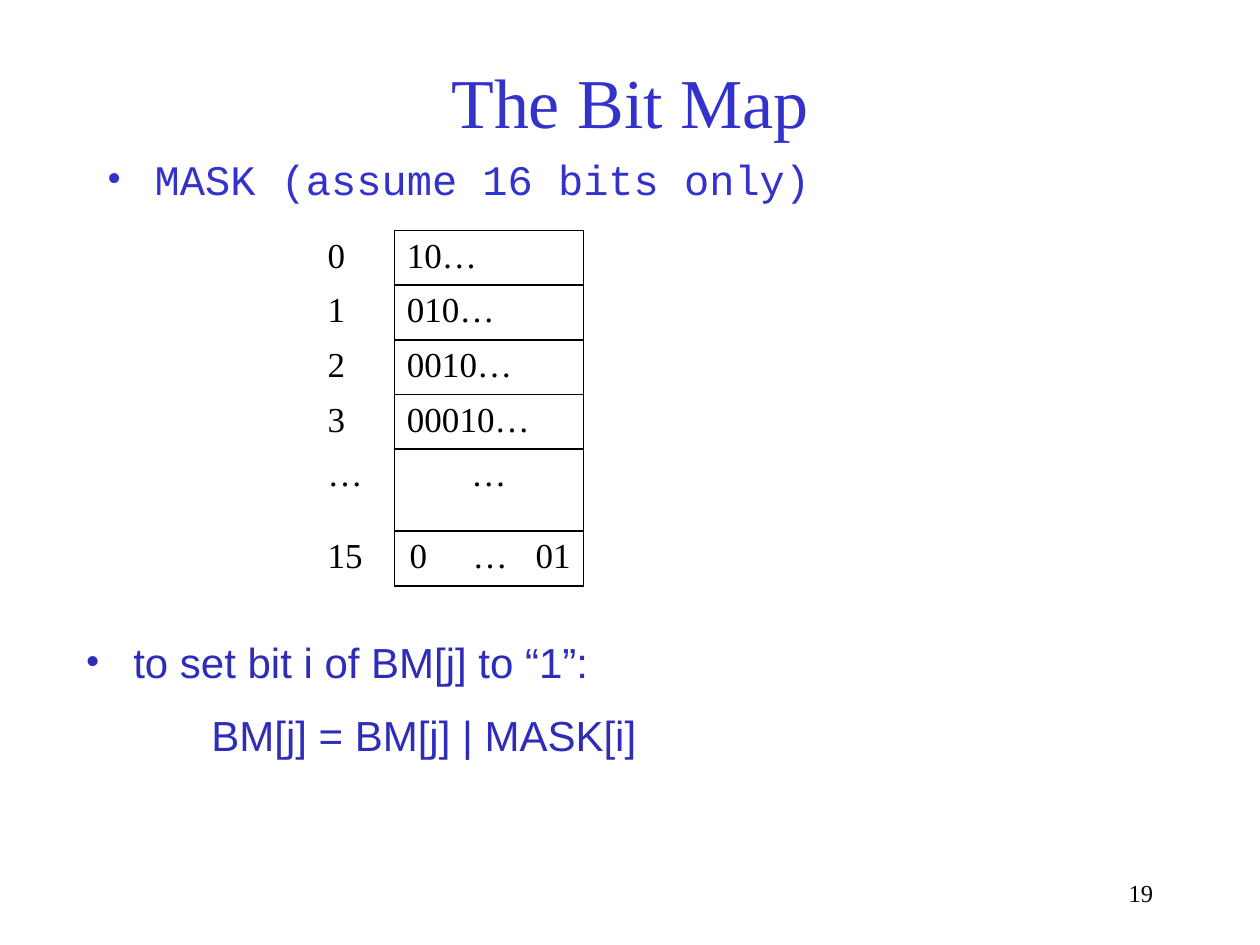
from lxml.etree import SubElement
from pptx import Presentation
from pptx.dml.color import RGBColor
from pptx.enum.text import MSO_ANCHOR, PP_ALIGN
from pptx.oxml.ns import qn
from pptx.util import Inches, Pt

BLACK = RGBColor(0x00, 0x00, 0x00)
TITLE_BLUE = RGBColor(0x33, 0x33, 0xCC)
BODY_BLUE = RGBColor(0x2D, 0x2D, 0xB9)
SERIF, SANS, MONO = "Times New Roman", "Arial", "Courier New"

MASK_ROWS = [
    ("0", "10…", PP_ALIGN.LEFT),
    ("1", "010…", PP_ALIGN.LEFT),
    ("2", "0010…", PP_ALIGN.LEFT),
    ("3", "00010…", PP_ALIGN.LEFT),
    ("…", "…", PP_ALIGN.CENTER),
    ("15", "0\t…\t01", PP_ALIGN.LEFT),
]
COLUMN_WIDTHS = (0.63, 1.5)
ROW_HEIGHTS = (0.43, 0.43, 0.43, 0.43, 0.65, 0.43)
MASK_TABS = ((0.57, "ctr"), (1.27, "r"))


def style(para, font, size, color, align=PP_ALIGN.LEFT):
    """Align a paragraph and format all its runs."""
    para.alignment = align
    for span in para.runs:
        span.font.name = font
        span.font.size = Pt(size)
        span.font.color.rgb = color


def indent(para, left, hanging=0, bullet=None):
    """Set the indents of a paragraph, with an optional bullet."""
    properties = para._p.get_or_add_pPr()
    properties.set("marL", str(Inches(left)))
    properties.set("indent", str(-Inches(hanging)))
    if bullet:
        SubElement(properties, qn("a:buFont"), typeface=SERIF)
        SubElement(properties, qn("a:buChar"), char=bullet)


def add_tabs(para, stops):
    """Add tab stops given as position and alignment."""
    tabs = SubElement(para._p.get_or_add_pPr(), qn("a:tabLst"))
    for position, align in stops:
        SubElement(tabs, qn("a:tab"), pos=str(Inches(position)), algn=align)


def draw_borders(cell, sides):
    """Draw thin black lines on the named sides of a cell."""
    properties = cell._tc.get_or_add_tcPr()
    for side in sides:
        line = SubElement(properties, qn(f"a:ln{side}"), w=str(Pt(1)))
        fill = SubElement(line, qn("a:solidFill"))
        SubElement(fill, qn("a:srgbClr"), val=str(BLACK))


def add_text(page, box, text):
    """Add a wrapping text box and return its paragraphs."""
    frame = page.shapes.add_textbox(*map(Inches, box)).text_frame
    frame.word_wrap = True
    frame.text = text
    return frame.paragraphs


def place_title(page, box, text):
    """Move and format the title placeholder."""
    title = page.shapes.title
    title.left, title.top, title.width, title.height = map(Inches, box)
    title.text_frame.text = text
    title.text_frame.vertical_anchor = MSO_ANCHOR.MIDDLE
    style(title.text_frame.paragraphs[0], SERIF, 40, TITLE_BLUE, PP_ALIGN.CENTER)


def add_mask_heading(page, box):
    """Add the bullet that introduces the mask table."""
    para = add_text(page, box, "MASK (assume 16 bits only)")[0]
    style(para, MONO, 24, TITLE_BLUE)
    para.line_spacing = 0.8
    indent(para, 0.38, 0.38, "•")


def add_mask_table(page, box):
    """Add the table of masks with framed values beside their indexes."""
    table = page.shapes.add_table(
        len(ROW_HEIGHTS), len(COLUMN_WIDTHS), *map(Inches, box)
    ).table
    table.first_row = table.horz_banding = False
    for column, width in zip(table.columns, COLUMN_WIDTHS):
        column.width = Inches(width)
    for row, height, (index, mask, align) in zip(table.rows, ROW_HEIGHTS, MASK_ROWS):
        row.height = Inches(height)
        contents = ((index, PP_ALIGN.LEFT, "R"), (mask, align, "LRTB"))
        for cell, (text, cell_align, sides) in zip(row.cells, contents):
            cell.text_frame.text = text
            para = cell.text_frame.paragraphs[0]
            style(para, SERIF, 20, BLACK, cell_align)
            if "\t" in text:
                indent(para, 0.02)
                add_tabs(para, MASK_TABS)
            draw_borders(cell, sides)
            cell.fill.background()


def add_set_bit_rule(page, box):
    """Add the bullet on setting a bit and its formula."""
    rule, formula = add_text(
        page, box, "to set bit i of BM[j] to “1”:\nBM[j] = BM[j] | MASK[i]"
    )
    for para in (rule, formula):
        style(para, SANS, 24, BODY_BLUE)
        para.space_before = Pt(13)
    indent(rule, 0.38, 0.38, "•")
    formula.level = 2
    indent(formula, 1.38, 0.38)


def add_page_number(page, box, number):
    """Add the page number at the right of its box."""
    style(add_text(page, box, number)[0], SERIF, 14, BLACK, PP_ALIGN.RIGHT)


def main():
    """Build the slide and save it."""
    deck = Presentation()
    deck.slide_width, deck.slide_height = Inches(10), Inches(7.5)
    page = deck.slides.add_slide(deck.slide_layouts[5])
    place_title(page, (0.75, 0.42, 8.5, 0.75), "The Bit Map")
    add_mask_heading(page, (0.75, 1.25, 8.27, 0.44))
    add_mask_table(page, (2.5, 1.83, sum(COLUMN_WIDTHS), sum(ROW_HEIGHTS)))
    add_set_bit_rule(page, (0.58, 5, 8.27, 1.73))
    add_page_number(page, (7.17, 6.92, 2.08, 0.42), "19")
    deck.save("out.pptx")


if __name__ == "__main__":
    main()
